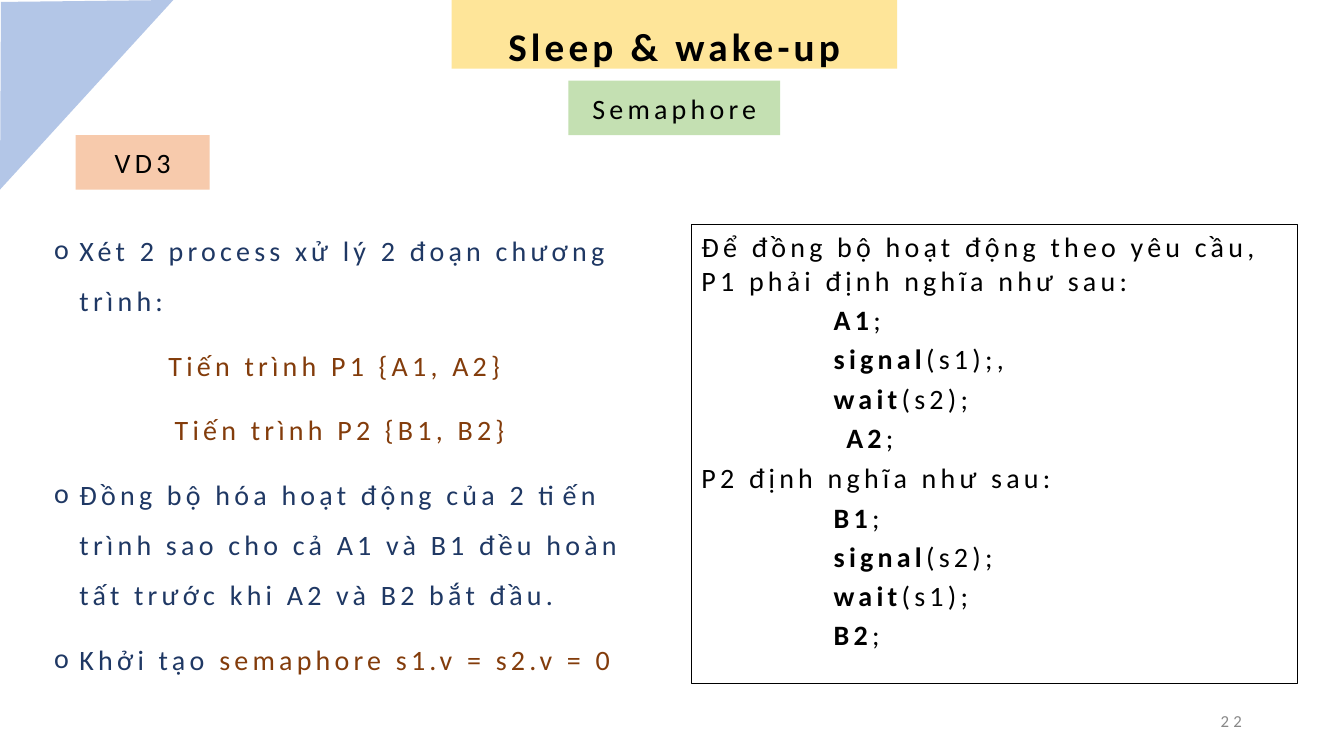
import pptx
import pptx.dml.color
import pptx.enum.shapes
import pptx.enum.text
import pptx.oxml.ns
import pptx.util
import lxml.etree

Pt = pptx.util.Pt
ALIGN = pptx.enum.text.PP_ALIGN
ANCHOR = pptx.enum.text.MSO_ANCHOR
COLORS = {
    "black": "000000", "navy": "1F3864", "brown": "833C0B", "gray": "888888",
    "yellow": "FEE599", "green": "C4E0B2", "peach": "F7CAAC", "blue": "B3C6E7",
}


def rgb(name):
    return pptx.dml.color.RGBColor.from_string(COLORS[name])


class SlideBuilder:
    font = "Calibri"
    tracking = 3

    def __init__(self, prs):
        self.slide = prs.slides.add_slide(prs.slide_layouts[6])

    def frame(self, sp, anchor):
        tf = sp.text_frame
        tf.word_wrap = True
        tf.vertical_anchor = anchor
        tf.margin_left = tf.margin_right = Pt(7.2)
        tf.margin_top = tf.margin_bottom = Pt(3.6)
        return tf

    def textbox(self, x, y, w, h, anchor=ANCHOR.TOP):
        sp = self.slide.shapes.add_textbox(Pt(x), Pt(y), Pt(w), Pt(h))
        return self.frame(sp, anchor)

    def rect(self, x, y, w, h, fill=None, line=None, anchor=ANCHOR.MIDDLE):
        kind = pptx.enum.shapes.MSO_SHAPE.RECTANGLE
        sp = self.slide.shapes.add_shape(kind, Pt(x), Pt(y), Pt(w), Pt(h))
        self.paint(sp, fill, line)
        return self.frame(sp, anchor)

    def polygon(self, points, fill):
        pts = [(Pt(x), Pt(y)) for x, y in points]
        fb = self.slide.shapes.build_freeform(*pts[0])
        fb.add_line_segments(pts[1:], close=True)
        self.paint(fb.convert_to_shape(), fill)

    def paint(self, sp, fill=None, line=None):
        sp.shadow.inherit = False
        if fill:
            sp.fill.solid()
            sp.fill.fore_color.rgb = rgb(fill)
        else:
            sp.fill.background()
        if line:
            sp.line.color.rgb = rgb(line)
            sp.line.width = Pt(0.75)
        else:
            sp.line.fill.background()

    def paragraph(self, tf, runs, size=20, align=ALIGN.LEFT, spacing=1.0,
                  before=0, indent=0, bullet=None):
        p = tf.paragraphs[0]
        if p.runs:
            p = tf.add_paragraph()
        p.alignment = align
        p.line_spacing = spacing
        p.space_before = Pt(before)
        pPr = p._p.get_or_add_pPr()
        pPr.set("marL", str(Pt(indent)))
        if bullet:
            self.bullet(pPr, indent, bullet)
        for text, color, bold in runs:
            r = p.add_run()
            r.text = text
            r.font.name = self.font
            r.font.size = Pt(size)
            r.font.bold = bold
            r.font.color.rgb = rgb(color)
            r._r.get_or_add_rPr().set("spc", str(self.tracking * 100))

    def bullet(self, pPr, indent, color):
        qn = pptx.oxml.ns.qn
        pPr.set("indent", str(-Pt(indent)))
        clr = lxml.etree.SubElement(pPr, qn("a:buClr"))
        lxml.etree.SubElement(clr, qn("a:srgbClr"), val=COLORS[color])
        lxml.etree.SubElement(pPr, qn("a:buFont"), typeface=self.font)
        lxml.etree.SubElement(pPr, qn("a:buChar"), char="o")

    def label(self, x, y, w, h, text, fill, size=20, bold=False, spacing=1.0):
        tf = self.rect(x, y, w, h, fill)
        self.paragraph(tf, [(text, "black", bold)], size, ALIGN.CENTER, spacing)


def main():
    prs = pptx.Presentation()
    prs.slide_width, prs.slide_height = Pt(960), Pt(540)
    s = SlideBuilder(prs)

    problem = s.textbox(31.7, 151.2, 421.9, 361.4)
    items = [
        (True, [("Xét 2 process xử lý 2 đoạn chương trình:", "navy", False)]),
        (False, [("Tiến trình P1 {A1, A2} ", "brown", False)]),
        (False, [("Tiến trình P2 {B1, B2}", "brown", False)]),
        (True, [("Đồng bộ hóa hoạt động của 2 tiến trình sao cho cả A1 và B1 "
                 "đều hoàn tất trước khi A2 và B2 bắt đầu.", "navy", False)]),
        (True, [("Khởi tạo ", "navy", False),
                ("semaphore s1.v = s2.v = 0", "brown", False)]),
    ]
    for i, (bulleted, runs) in enumerate(items):
        s.paragraph(problem, runs, spacing=1.5, before=10 if i else 0,
                    align=ALIGN.LEFT if bulleted else ALIGN.CENTER,
                    indent=18 if bulleted else 0,
                    bullet="navy" if bulleted else None)

    solution = s.rect(493.9, 160.6, 432.7, 327.6, line="black", anchor=ANCHOR.TOP)
    processes = [
        ("Để đồng bộ hoạt động theo yêu cầu, P1 phải định nghĩa như sau:", 0,
         [("A1", ";"), ("signal", "(s1);,"), ("wait", "(s2);"), ("A2", ";")]),
        ("P2 định nghĩa như sau:", 5,
         [("B1", ";"), ("signal", "(s2);"), ("wait", "(s1);"), ("B2", ";")]),
    ]
    for heading, before, steps in processes:
        s.paragraph(solution, [(heading, "black", False)], before=before)
        for name, rest in steps:
            s.paragraph(solution, [(name, "black", True), (rest, "black", False)],
                        before=4, indent=103.5 if name == "A2" else 94.5)

    s.label(54, 96.5, 95.8, 39, "VD3", "peach")
    s.polygon([(0.7, 1.4), (0, 135.4), (123.8, 0)], "blue")
    number = s.textbox(678.2, 500.4, 216, 28.8, ANCHOR.MIDDLE)
    s.paragraph(number, [("22", "gray", False)], 12, ALIGN.RIGHT)
    s.label(322.6, 0, 318.2, 49, "Sleep & wake-up", "yellow", 28, True, 1.5)
    s.label(406.1, 57.6, 151.2, 39, "Semaphore", "green")

    prs.save("out.pptx")


if __name__ == "__main__":
    main()
